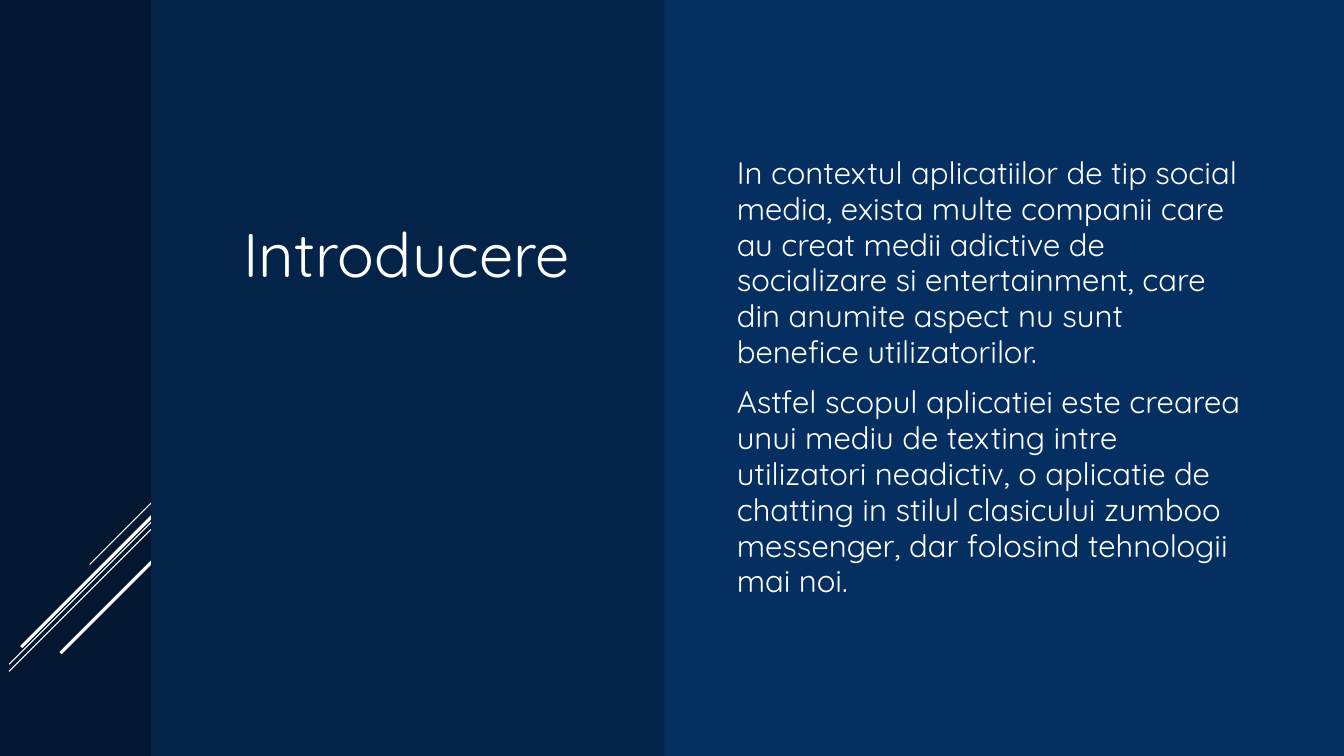
from lxml.etree import SubElement
from pptx import Presentation
from pptx.dml.color import RGBColor as RGB
from pptx.enum.shapes import MSO_CONNECTOR as LINK, MSO_SHAPE as SHAPE
from pptx.enum.text import MSO_ANCHOR as ANCHOR, PP_ALIGN as ALIGN
from pptx.oxml.ns import qn
from pptx.util import Inches, Pt

FONT = "Quicksand"
WHITE = "FFFFFF"
HIGH = 7.5
PANELS = [(0, 13.33, "052F61"), (0, 1.57, "031730")]
COVER = (1.5, 5.09, "042349")
EDGE = 1.64
STREAKS = [
    (4.85, 0.75, 0.75),
    (5.04, 1.55, 0.75),
    (5.11, 1.55, 0.75),
    (4.99, 1.43, 2.25),
    (5.44, 1.04, 2.25),
]
BODY = [
    "In contextul aplicatiilor de tip social media, exista multe companii care "
    "au creat medii adictive de socializare si entertainment, care din anumite "
    "aspect nu sunt benefice utilizatorilor.",
    "Astfel scopul aplicatiei este crearea unui mediu de texting intre "
    "utilizatori neadictiv, o aplicatie de chatting in stilul clasicului "
    "zumboo messenger, dar folosind tehnologii mai noi.",
]


def paint(color, code):
    """Set a colour format from a hex string."""
    color.rgb = RGB.from_string(code)


def add_panel(slide, left, width, code):
    """Add a full-height colour panel."""
    panel = slide.shapes.add_shape(
        SHAPE.RECTANGLE, Inches(left), 0, Inches(width), Inches(HIGH))
    panel.shadow.inherit = False
    panel.fill.solid()
    paint(panel.fill.fore_color, code)
    panel.line.fill.background()


def add_streak(slide, top, span, weight):
    """Add a diagonal line falling left at 45 degrees from the edge."""
    streak = slide.shapes.add_connector(
        LINK.STRAIGHT, Inches(EDGE), Inches(top),
        Inches(EDGE - span), Inches(top + span))
    streak.line.width = Pt(weight)
    paint(streak.line.color, WHITE)
    SubElement(streak.element.spPr, qn("a:effectLst"))


def style(para, size, align, pitch):
    """Format one paragraph."""
    para.alignment = align
    para.line_spacing = pitch
    para.space_before = Pt(size * 0.2)
    para.space_after = Pt(6)
    para.font.name = FONT
    para.font.size = Pt(size)
    paint(para.font.color, WHITE)


def fill_text(shape, lines, size, align, pitch):
    """Write formatted paragraphs into a shape, centred vertically."""
    frame = shape.text_frame
    frame.word_wrap = True
    frame.vertical_anchor = ANCHOR.MIDDLE
    frame.text = "\n".join(lines)
    for para in frame.paragraphs:
        style(para, size, align, pitch)


def set_title(slide, text):
    """Place the title placeholder in front of the panels."""
    title = slide.shapes.title
    title.left, title.top = Inches(1.5), Inches(1.53)
    title.width, title.height = Inches(5.07), Inches(1.96)
    title.element.getparent().append(title.element)
    fill_text(title, [text], 44, ALIGN.CENTER, 1.0)


def add_body(slide):
    """Add the body text on the right."""
    box = slide.shapes.add_textbox(
        Inches(7.21), Inches(1.45), Inches(5.2), Inches(4.6))
    fill_text(box, BODY, 22.2, ALIGN.LEFT, 0.96)


def main():
    """Build and save the slide."""
    deck = Presentation()
    deck.slide_width, deck.slide_height = Inches(13.33), Inches(HIGH)
    slide = deck.slides.add_slide(deck.slide_layouts.get_by_name("Title Only"))
    back = slide.background.fill
    back.solid()
    paint(back.fore_color, "146194")
    for panel in PANELS:
        add_panel(slide, *panel)
    for streak in STREAKS:
        add_streak(slide, *streak)
    add_panel(slide, *COVER)
    set_title(slide, "Introducere")
    add_body(slide)
    deck.save("out.pptx")


if __name__ == "__main__":
    main()
